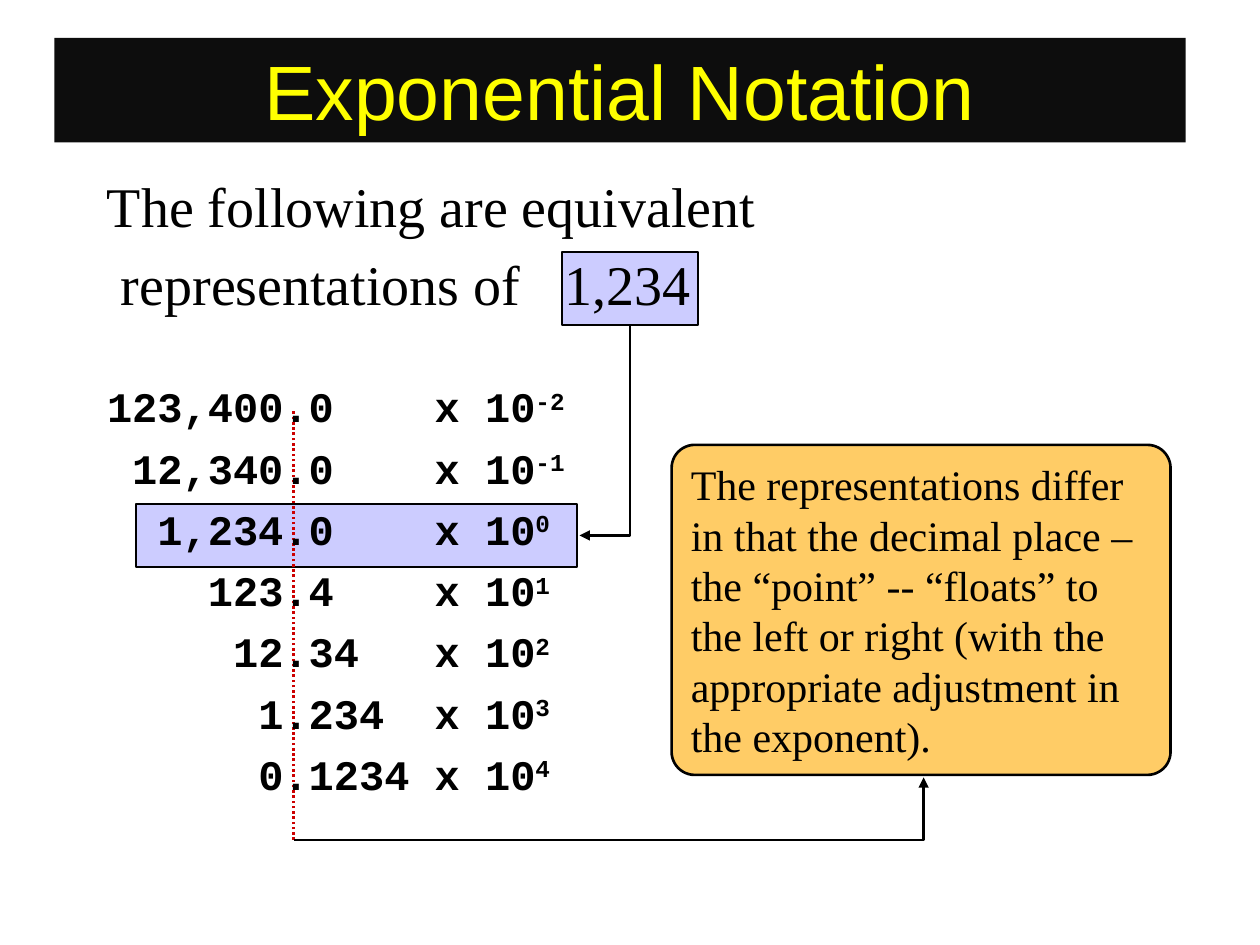
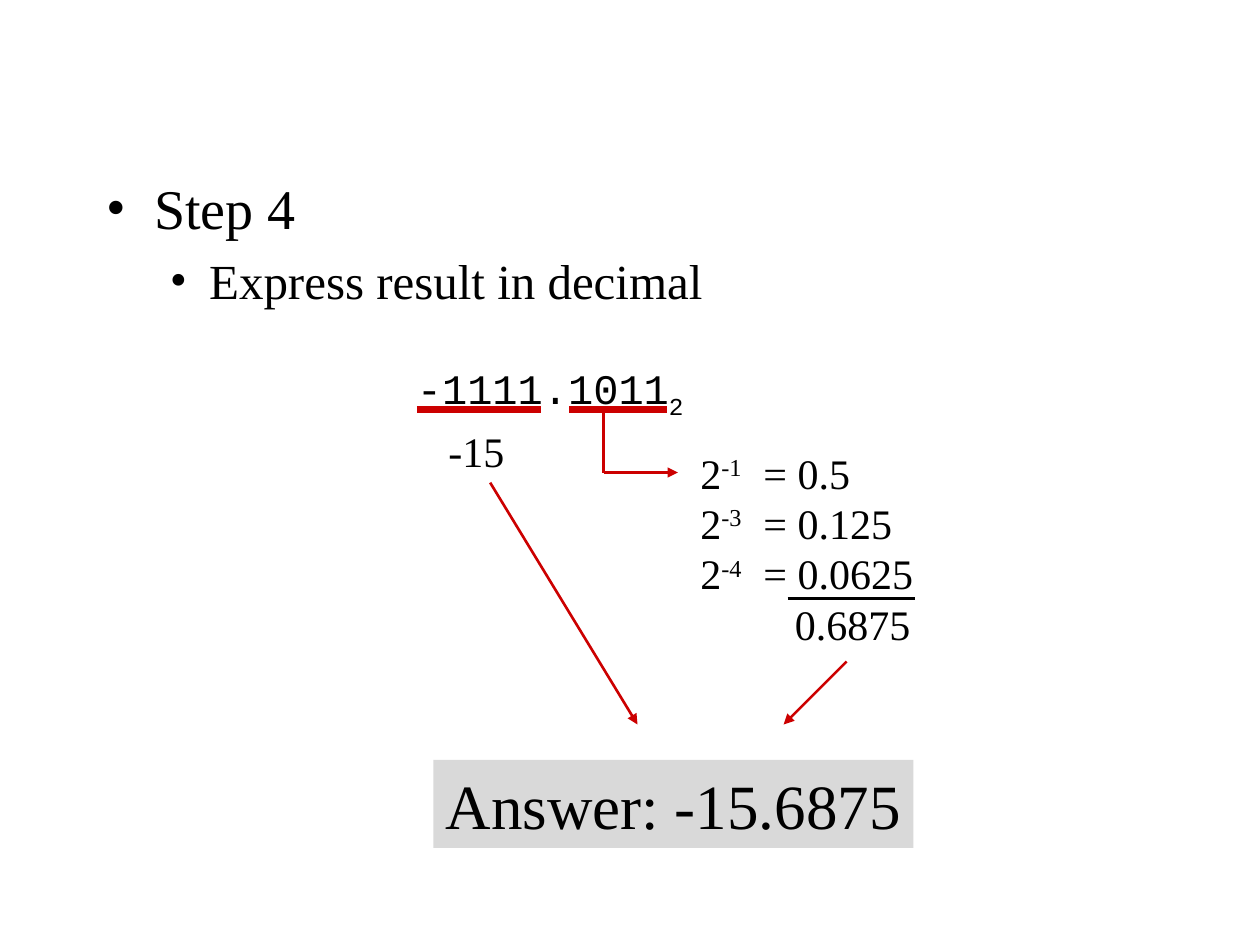
from lxml import etree
from pptx import Presentation
from pptx.dml.color import RGBColor
from pptx.enum.dml import MSO_LINE
from pptx.enum.shapes import MSO_CONNECTOR, MSO_SHAPE
from pptx.enum.text import MSO_ANCHOR, PP_ALIGN
from pptx.oxml.ns import qn
from pptx.util import Pt

RECTANGLE = MSO_SHAPE.RECTANGLE
ROUNDED = MSO_SHAPE.ROUNDED_RECTANGLE
STRAIGHT = MSO_CONNECTOR.STRAIGHT
DOTTED = MSO_LINE.ROUND_DOT
TOP, MIDDLE = MSO_ANCHOR.TOP, MSO_ANCHOR.MIDDLE
LEFT, CENTER = PP_ALIGN.LEFT, PP_ALIGN.CENTER

COLORS = {
    "black": "000000",
    "red": "CC0000",
    "yellow": "FFFF00",
    "lavender": "CCCCFF",
    "orange": "FFCC66",
    "gray": "D9D9D9",
    "band": "0D0D0D",
}
SERIF, MONO, SANS = "Times New Roman", "Courier New", "Arial"
BODY = {"name": SERIF, "size": Pt(32)}
SUBPOINT = {"name": SERIF, "size": Pt(28)}
NOTE = {"name": SERIF, "size": Pt(24)}
CODE = {"name": MONO, "size": Pt(24)}
CODE_BOLD = {**CODE, "bold": True}
ANSWER = {"name": SERIF, "size": Pt(36)}
TITLE = {"name": SANS, "size": Pt(44)}
SUPERSCRIPT, SUBSCRIPT = 30000, -25000

CODE_WIDTH = 14.4
CODE_INSET = 7.2
NUMBERS = ["123,400.0", "12,340.0", "1,234.0", "123.4", "12.34", "1.234", "0.1234"]
FIRST_EXPONENT = -2
POWERS = [("-1", "0.5"), ("-3", "0.125"), ("-4", "0.0625")]


def color(name):
    """Return the palette colour called name."""
    return RGBColor.from_string(COLORS[name])


def apply(target, values):
    """Set each attribute named in values on target."""
    for name, value in values.items():
        setattr(target, name, value)


def style_line(line, line_color, width):
    """Give a line its colour and width."""
    line.color.rgb = color(line_color)
    line.width = Pt(width)


def add_arrowhead(shape):
    """Put a triangle at the end of a line."""
    outline = shape.line._get_or_add_ln()
    etree.SubElement(outline, qn("a:tailEnd"), type="triangle")


def add_box(page, area, fill, line_color=None, kind=RECTANGLE):
    """Add a flat filled shape with an optional outline."""
    box = page.shapes.add_shape(kind, *map(Pt, area))
    box.shadow.inherit = False
    box.fill.solid()
    box.fill.fore_color.rgb = color(fill)
    if line_color:
        style_line(box.line, line_color, 1.5)
    else:
        box.line.fill.background()
    return box


def add_text_box(page, area, **frame_format):
    """Add a wrapping text box and return its frame."""
    frame = page.shapes.add_textbox(*map(Pt, area)).text_frame
    apply(frame, {"word_wrap": True, **frame_format})
    return frame


def write(frame, spans, font, text_color="black", first=False, **para_format):
    """Write one paragraph from (text, baseline) spans."""
    para = frame.paragraphs[0] if first else frame.add_paragraph()
    apply(para, {"alignment": LEFT, **para_format})
    for text, baseline in spans:
        span = para.add_run()
        span.text = text
        apply(span.font, font)
        span.font.color.rgb = color(text_color)
        if baseline:
            span._r.get_or_add_rPr().set("baseline", str(baseline))
    return para


def add_tabs(para, stops):
    """Give a paragraph tab stops from (points, alignment) pairs."""
    tabs = etree.SubElement(para._p.get_or_add_pPr(), qn("a:tabLst"))
    for position, alignment in stops:
        etree.SubElement(tabs, qn("a:tab"), pos=str(Pt(position)), algn=alignment)


def add_bullet(para, margin, hanging):
    """Give a paragraph a hanging bullet."""
    properties = para._p.get_or_add_pPr()
    properties.set("marL", str(Pt(margin)))
    properties.set("indent", str(-Pt(hanging)))
    etree.SubElement(properties, qn("a:buFont"), typeface=SERIF)
    etree.SubElement(properties, qn("a:buChar"), char="•")


def add_line(page, start, end, line_color="red", width=1.5, arrow=False):
    """Add a straight line between two points."""
    line = page.shapes.add_connector(STRAIGHT, *map(Pt, start + end))
    etree.SubElement(line._element.spPr, qn("a:effectLst"))
    style_line(line.line, line_color, width)
    if arrow:
        add_arrowhead(line)
    return line


def add_elbow_arrow(page, start, corner, end):
    """Add an open bent arrow through three points."""
    builder = page.shapes.build_freeform(*map(Pt, start), scale=1.0)
    builder.add_line_segments([tuple(map(Pt, corner)), tuple(map(Pt, end))], close=False)
    arrow = builder.convert_to_shape()
    arrow.shadow.inherit = False
    arrow.fill.background()
    style_line(arrow.line, "black", 1.5)
    add_arrowhead(arrow)


def add_title_band(page, text):
    """Add the dark title band."""
    band = add_box(page, (31, 21.6, 646.5, 59.8), "band")
    band.text_frame.vertical_anchor = MIDDLE
    write(band.text_frame, [(text, 0)], TITLE, "yellow", first=True, alignment=CENTER)


def add_number_rows(page):
    """List the numbers with their points aligned and their powers of ten."""
    frame = add_text_box(page, (54, 219.6, 288, 259.2), margin_left=0)
    widest = NUMBERS[0].index(".")
    for row, number in enumerate(NUMBERS):
        fraction = len(number) - number.index(".")
        para = write(
            frame,
            [(f"\t{number}\tx 10", 0), (str(FIRST_EXPONENT + row), SUPERSCRIPT)],
            CODE_BOLD,
            first=row == 0,
            line_spacing=0.8,
            space_before=Pt(12 if row else 0),
        )
        number_end = CODE_INSET + CODE_WIDTH * (widest + fraction)
        add_tabs(para, [(number_end, "r"), (CODE_INSET + CODE_WIDTH * 13, "l")])


def build_notation_page(page):
    """Build the page on exponential notation."""
    add_box(page, (321.1, 144, 77.8, 41.8), "lavender", "black")
    add_box(page, (77.8, 288, 252, 36), "lavender", "black")
    add_title_band(page, "Exponential Notation")
    point_line = add_line(page, (167.8, 480), (167.8, 234))
    point_line.line.dash_style = DOTTED

    remark = add_box(page, (383.8, 254.2, 285.1, 188.6), "orange", "black", ROUNDED)
    remark.adjustments[0] = 0.07
    remark.text_frame.vertical_anchor = MIDDLE
    explanation = (
        "The representations differ in that the decimal place – the “point” -- “floats” "
        "to the left or right (with the appropriate adjustment in the exponent)."
    )
    write(remark.text_frame, [(explanation, 0)], NOTE, first=True)

    add_elbow_arrow(page, (360, 185.8), (360, 306), (331.2, 306))
    add_elbow_arrow(page, (167.8, 480), (527.8, 480), (527.8, 444.2))

    intro = add_text_box(page, (54, 94.3, 612, 331.9))
    write(intro, [("The following are equivalent", 0)], BODY, first=True)
    second = write(intro, [("\trepresentations of\t1,234", 0)], BODY, space_before=Pt(6.4))
    add_tabs(second, [(8, "l"), (261.4, "l")])
    add_number_rows(page)


def add_power_sum(page):
    """List the powers of two and their total."""
    frame = add_text_box(page, (393.1, 252, 159.1, 122.4))
    for row, (power, value) in enumerate(POWERS):
        spans = [("2", 0), (power, SUPERSCRIPT), (f"\t= {value}", 0)]
        add_tabs(write(frame, spans, NOTE, first=row == 0), [(36, "l")])
    add_tabs(write(frame, [("\t0.6875", 0)], NOTE), [(54, "l")])
    add_line(page, (450, 342), (522.7, 342), "black")


def build_step_page(page):
    """Build the page on turning the result into decimal."""
    steps = add_text_box(page, (54, 95.8, 612, 324))
    add_bullet(write(steps, [("Step 4", 0)], BODY, first=True), 27, 27)
    subpoint = write(
        steps, [("Express result in decimal", 0)], SUBPOINT, level=1, space_before=Pt(5.6)
    )
    add_bullet(subpoint, 58.5, 22.5)

    binary = add_text_box(page, (231.1, 203.8, 180.7, 36))
    write(binary, [("-1111.1011", 0), ("2", SUBSCRIPT)], CODE, first=True)
    for left, right in [(238.3, 308.9), (325.4, 380.9)]:
        add_line(page, (left, 234), (right, 234), width=4.5)
    whole = add_text_box(page, (249.1, 239.8, 46.8, 36), word_wrap=False)
    write(whole, [("-15", 0)], NOTE, first=True)

    add_power_sum(page)
    add_line(page, (344.9, 234), (344.9, 270))
    add_line(page, (344.9, 270), (387.4, 270), arrow=True)

    answer = add_box(page, (247.7, 434.2, 274.3, 50.4), "gray")
    apply(answer.text_frame, {"word_wrap": False, "vertical_anchor": TOP})
    write(answer.text_frame, [("Answer: -15.6875", 0)], ANSWER, first=True)
    add_line(page, (280.1, 275.8), (364.3, 414), arrow=True)
    add_line(page, (483.8, 378), (447.8, 414), arrow=True)


def main():
    """Build and save the deck."""
    deck = Presentation()
    apply(deck, {"slide_width": Pt(720), "slide_height": Pt(540)})
    for build_page in (build_notation_page, build_step_page):
        build_page(deck.slides.add_slide(deck.slide_layouts[6]))
    deck.save("out.pptx")


if __name__ == "__main__":
    main()
